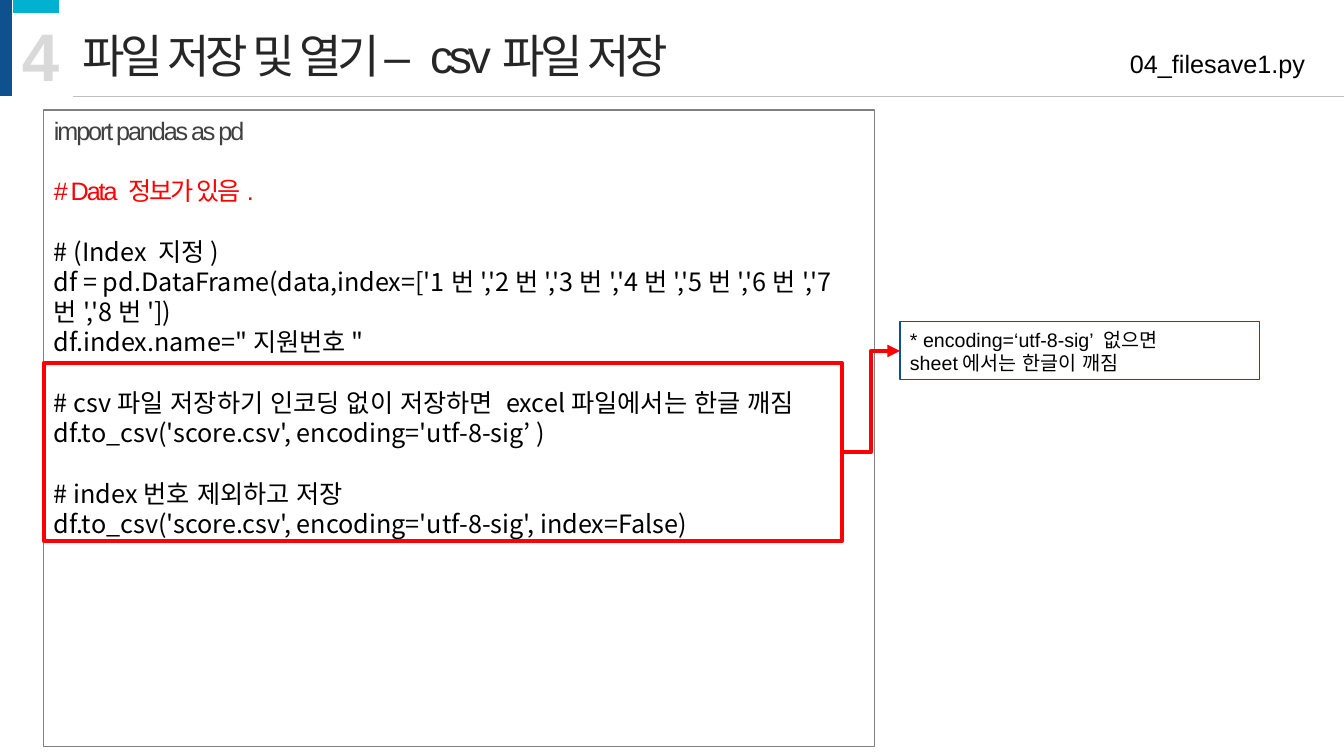
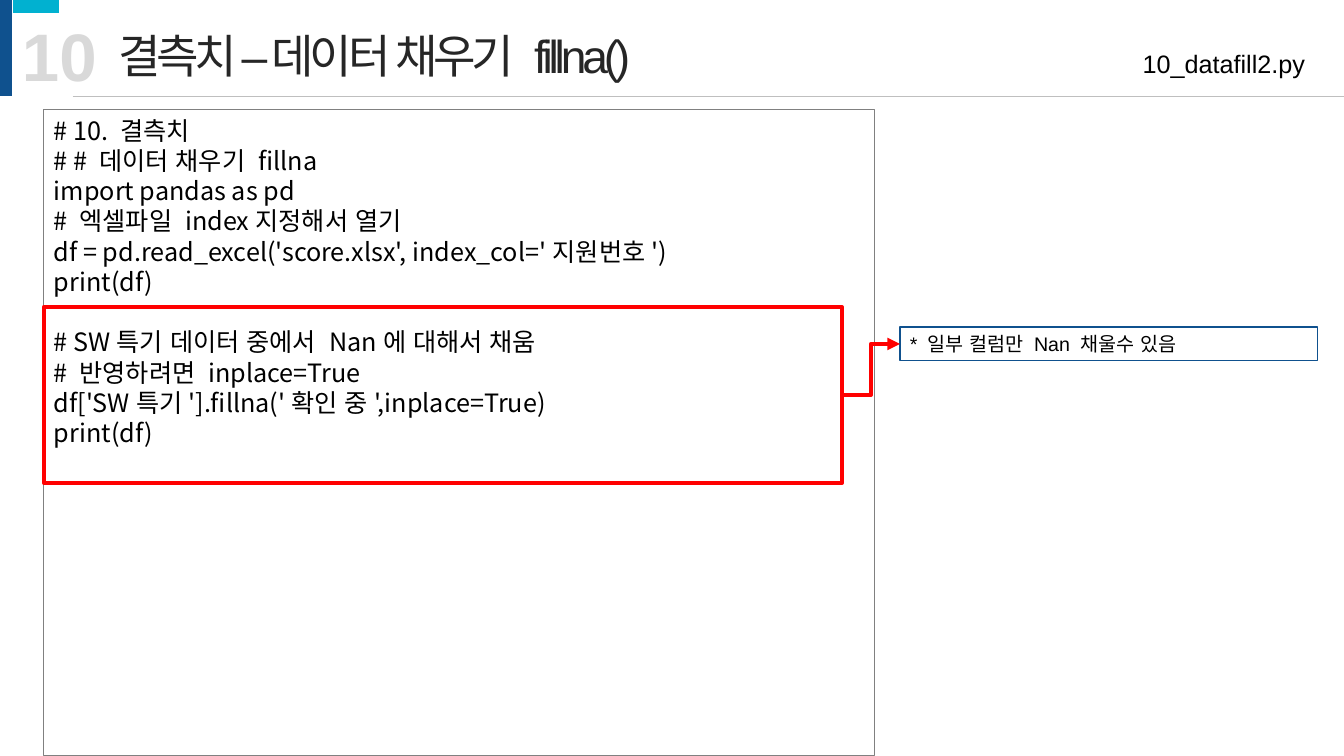
from dataclasses import dataclass

from lxml import etree
from pptx import Presentation
from pptx.dml.color import RGBColor
from pptx.enum.shapes import MSO_CONNECTOR, MSO_SHAPE
from pptx.enum.text import MSO_ANCHOR, MSO_AUTO_SIZE, PP_ALIGN
from pptx.oxml.ns import qn
from pptx.util import Pt

SLIDE_W, SLIDE_H = 1344, 756
EMU_PER_PX = 12192000 / SLIDE_W
TITLE_ONLY = 5


@dataclass(frozen=True)
class Style:
    size: int
    color: str
    font: str = "Arial"
    spacing: float = 0
    bold: bool = False


class Theme:
    navy, cyan, red = "0F518E", "01B1D0", "FF0000"
    rule, frame = "BFBFBF", "808080"
    east_asian = "Arial"
    leading = 1.2
    title = Style(33, "262626", spacing=-3)
    number = Style(48, "D9D9D9", bold=True)
    file_name = Style(18, "000000")
    code = Style(18, "000000", "Noto Sans CJK KR")
    code_import = Style(18, "404040", spacing=-1.5)
    code_remark = Style(18, red, spacing=-1.5)
    note = Style(14, "000000")


def px(n):
    return round(n * EMU_PER_PX)


def rgb(color):
    return RGBColor.from_string(color)


# Text

def format_paragraph(p, style, align=PP_ALIGN.LEFT):
    p.alignment = align
    p.line_spacing = Pt(style.size * Theme.leading)
    f = p.font
    f.size, f.bold, f.name = Pt(style.size), style.bold, style.font
    f.color.rgb = rgb(style.color)
    props = p._p.pPr.find(qn("a:defRPr"))
    props.set("spc", str(round(style.spacing * 100)))
    latin = props.find(qn("a:latin"))
    latin.addnext(latin.makeelement(qn("a:ea"), {"typeface": Theme.east_asian}))


def write(sp, text, style, align=PP_ALIGN.LEFT, anchor=MSO_ANCHOR.TOP, wrap=True):
    tf = sp.text_frame
    tf.word_wrap, tf.vertical_anchor = wrap, anchor
    tf.auto_size = MSO_AUTO_SIZE.NONE
    p = tf.paragraphs[0]
    p.text = text
    format_paragraph(p, style, align)


def add_text(s, box, text, style, **layout):
    write(s.shapes.add_textbox(*map(px, box)), text, style, **layout)


# Shapes and lines

def add_rect(s, box, fill=None, line=None, width=0.75):
    sp = s.shapes.add_shape(MSO_SHAPE.RECTANGLE, *map(px, box))
    sp.shadow.inherit = False
    if fill:
        sp.fill.solid()
        sp.fill.fore_color.rgb = rgb(fill)
    else:
        sp.fill.background()
    if line:
        sp.line.color.rgb = rgb(line)
        sp.line.width = Pt(width)
    else:
        sp.line.fill.background()
    return sp


def add_line(s, kind, ends, color, width):
    c = s.shapes.add_connector(kind, *map(px, ends))
    c.line.color.rgb = rgb(color)
    c.line.width = Pt(width)
    etree.SubElement(c._element.spPr, qn("a:effectLst"))
    return c


def add_arrow(s, source, target):
    c = add_line(s, MSO_CONNECTOR.ELBOW, (0, 0, 0, 0), Theme.red, 3)
    c.begin_connect(source, 3)
    c.end_connect(target, 1)
    etree.SubElement(c.line._get_or_add_ln(), qn("a:tailEnd"), type="triangle")


# Slide parts

def add_header(prs, number, number_w, title, file_name):
    s = prs.slides.add_slide(prs.slide_layouts[TITLE_ONLY])
    add_rect(s, (0, 0, 12, 96), fill=Theme.navy)
    add_rect(s, (13, 0, 46, 13), fill=Theme.cyan)
    add_line(s, MSO_CONNECTOR.STRAIGHT, (73, 96, SLIDE_W, 96), Theme.rule, 0.5)
    add_text(s, (12, 9, number_w, 92), number, Theme.number, wrap=False)
    add_text(s, (900, 43, 415, 40), file_name, Theme.file_name, align=PP_ALIGN.RIGHT)

    sp = s.shapes.title
    left = 12 + number_w
    sp.left, sp.top, sp.width, sp.height = map(px, (left, 22, 1120 - left, 67))
    write(sp, title, Theme.title, anchor=MSO_ANCHOR.MIDDLE)
    return s


def add_code(s, height, blocks):
    """Each block is a style and its lines; one line of space parts the blocks."""
    sp = add_rect(s, (44, 110, 831, height), line=Theme.frame)
    tf = sp.text_frame
    tf.word_wrap, tf.vertical_anchor = True, MSO_ANCHOR.TOP
    p = tf.paragraphs[0]
    for b, (style, lines) in enumerate(blocks):
        for i, line in enumerate(lines):
            if b or i:
                p = tf.add_paragraph()
            p.text = line
            if b and not i:
                p.space_before = Pt(style.size * Theme.leading)
            format_paragraph(p, style)


def add_callout(s, top, height, note_box, note):
    highlight = add_rect(s, (44, top, 798, height), line=Theme.red, width=3)
    sp = add_rect(s, note_box, line=Theme.navy)
    write(sp, note, Theme.note, anchor=MSO_ANCHOR.MIDDLE)
    add_arrow(s, highlight, sp)


# Slides

def add_save_slide(prs):
    s = add_header(prs, "4", 60, "파일 저장 및 열기 – csv파일 저장", "04_filesave1.py")
    add_code(s, 637, [
        (Theme.code_import, ["import pandas as pd"]),
        (Theme.code_remark, ["# Data 정보가 있음."]),
        (Theme.code, [
            "# (Index 지정)",
            "df = pd.DataFrame(data,index=['1번','2번','3번','4번','5번','6번','7번','8번'])",
            'df.index.name="지원번호"',
        ]),
        (Theme.code, [
            "# csv파일 저장하기 인코딩 없이 저장하면 excel파일에서는 한글 깨짐",
            "df.to_csv('score.csv', encoding='utf-8-sig’ )",
        ]),
        (Theme.code, [
            "# index번호 제외하고 저장",
            "df.to_csv('score.csv', encoding='utf-8-sig', index=False)",
        ]),
    ])
    add_callout(s, 363, 178, (900, 322, 360, 58),
                "* encoding=‘utf-8-sig’ 없으면\nsheet에서는 한글이 깨짐")


def add_fill_slide(prs):
    s = add_header(prs, "10", 96, "결측치 – 데이터 채우기 fillna()", "10_datafill2.py")
    add_code(s, 646, [
        (Theme.code, [
            "# 10. 결측치",
            "# # 데이터 채우기 fillna",
            "import pandas as pd",
            "# 엑셀파일 index지정해서 열기",
            "df = pd.read_excel('score.xlsx', index_col='지원번호')",
            "print(df)",
        ]),
        (Theme.code, [
            "# SW특기 데이터 중에서 Nan에 대해서 채움",
            "# 반영하려면 inplace=True",
            "df['SW특기'].fillna('확인 중',inplace=True)",
            "print(df)",
        ]),
    ])
    add_callout(s, 307, 176, (900, 327, 418, 34), "* 일부 컬럼만 Nan 채울수 있음")


def main():
    prs = Presentation()
    prs.slide_width, prs.slide_height = px(SLIDE_W), px(SLIDE_H)
    add_save_slide(prs)
    add_fill_slide(prs)
    prs.save("out.pptx")


if __name__ == "__main__":
    main()
